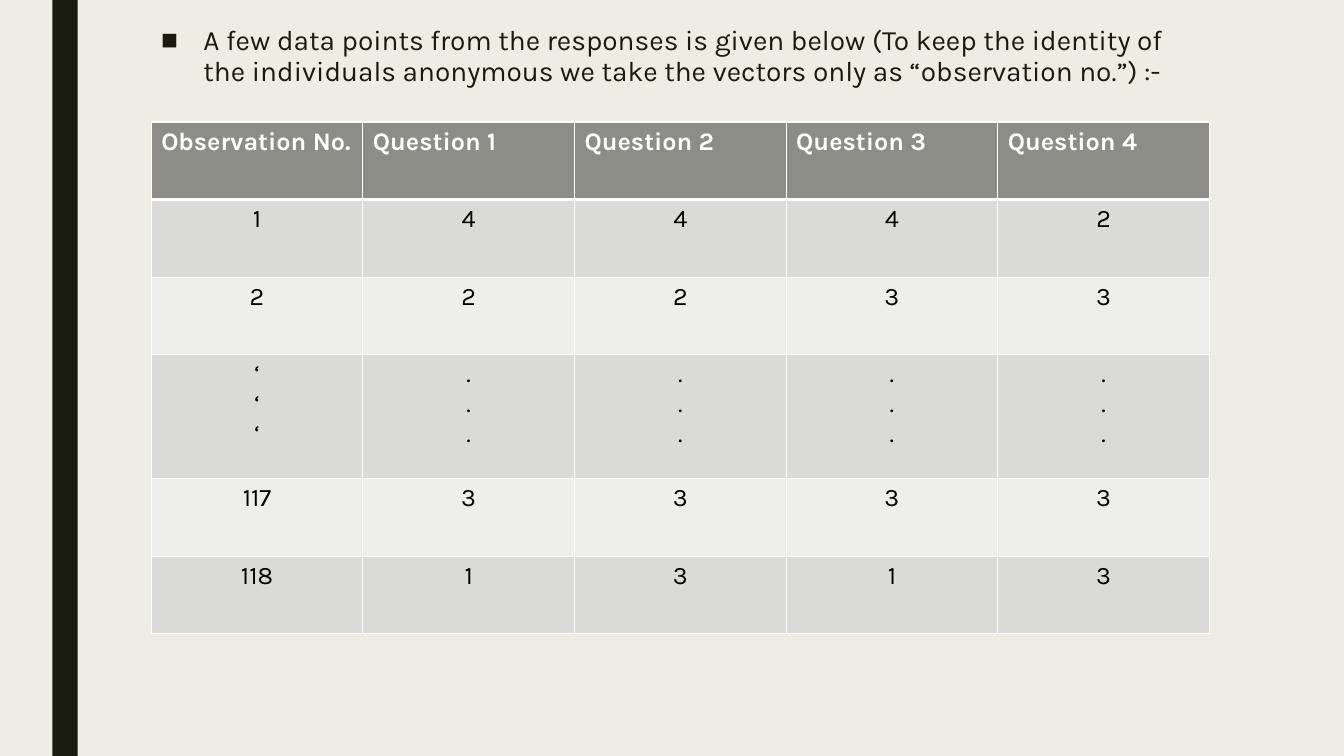
from lxml.etree import SubElement
from pptx import Presentation
from pptx.dml.color import RGBColor
from pptx.enum.shapes import MSO_SHAPE
from pptx.enum.text import PP_ALIGN
from pptx.oxml.ns import qn
from pptx.util import Pt

CREAM = RGBColor(0xEF, 0xED, 0xE3)
INK = RGBColor(0x19, 0x1B, 0x0E)
HEADER_GREY = RGBColor(0x8C, 0x8D, 0x86)
DARK_BAND = RGBColor(0xDA, 0xDB, 0xD9)
LIGHT_BAND = RGBColor(0xEE, 0xEE, 0xED)
WHITE = RGBColor(0xFF, 0xFF, 0xFF)
BLACK = RGBColor(0, 0, 0)

SLIDE_WIDTH, SLIDE_HEIGHT = 960, 540
CONTENT_LEFT, CONTENT_WIDTH = 108, 756
ROW_HEIGHT, ELLIPSIS_HEIGHT = 55.44, 88.56

INTRO = ("A few data points from the responses is given below (To keep the identity of "
         "the individuals anonymous we take the vectors only as “observation no.”) :-")
ELLIPSIS = "."
QUOTE_ELLIPSIS = "‘"
RESPONSES = [
    ["Observation No."] + [f"Question {number}" for number in range(1, 5)],
    ["1", "4", "4", "4", "2"],
    ["2", "2", "2", "3", "3"],
    [QUOTE_ELLIPSIS] + [ELLIPSIS] * 4,
    ["117", "3", "3", "3", "3"],
    ["118", "1", "3", "1", "3"],
]
ELLIPSIS_ROW = 3


class SlideBuilder:
    def __init__(self, slide, font):
        self.slide = slide
        self.font = font

    def background(self, color):
        fill = self.slide.background.fill
        fill.solid()
        fill.fore_color.rgb = color

    def bar(self, left, top, width, height, color):
        bar = self.slide.shapes.add_shape(
            MSO_SHAPE.RECTANGLE, Pt(left), Pt(top), Pt(width), Pt(height))
        bar.shadow.inherit = False
        bar.fill.solid()
        bar.fill.fore_color.rgb = color
        bar.line.fill.background()

    def run(self, paragraph, text, size, color, bold=False):
        run = paragraph.add_run()
        run.text = text
        run.font.name = self.font
        run.font.size = Pt(size)
        run.font.bold = bold
        run.font.color.rgb = color

    def bullet(self, left, top, width, height, text):
        frame = self.slide.shapes.add_textbox(
            Pt(left), Pt(top), Pt(width), Pt(height)).text_frame
        frame.word_wrap = True
        paragraph = frame.paragraphs[0]
        paragraph.line_spacing = 0.94
        paragraph.space_before = Pt(10)
        paragraph.space_after = Pt(2)
        properties = paragraph._p.get_or_add_pPr()
        properties.set("marL", str(Pt(30.24)))
        properties.set("indent", str(Pt(-30.24)))
        SubElement(properties, qn("a:buFont"), typeface="Arial")
        SubElement(properties, qn("a:buChar"), char="■")
        self.run(paragraph, text, 20, INK)

    def cell_borders(self, cell, widths):
        """Draw white borders; widths maps each side (L, R, T, B) to points."""
        properties = cell._tc.get_or_add_tcPr()
        for position, (side, width) in enumerate(widths.items()):
            line = SubElement(properties, qn(f"a:ln{side}"), w=str(Pt(width)))
            SubElement(SubElement(line, qn("a:solidFill")), qn("a:srgbClr"), val=str(WHITE))
            properties.insert(position, line)

    def table(self, left, top, width, rows, heights):
        table = self.slide.shapes.add_table(
            len(rows), len(rows[0]), Pt(left), Pt(top), Pt(width), Pt(sum(heights))).table
        for column in table.columns:
            column.width = Pt(width / len(rows[0]))
        for row_index, (values, height) in enumerate(zip(rows, heights)):
            table.rows[row_index].height = Pt(height)
            header = row_index == 0
            band = HEADER_GREY if header else DARK_BAND if row_index % 2 else LIGHT_BAND
            widths = {"L": 1, "R": 1, "T": 3 if row_index == 1 else 1, "B": 3 if header else 1}
            for column_index, value in enumerate(values):
                cell = table.cell(row_index, column_index)
                cell.fill.solid()
                cell.fill.fore_color.rgb = band
                self.cell_borders(cell, widths)
                for line in range(3 if row_index == ELLIPSIS_ROW else 1):
                    frame = cell.text_frame
                    paragraph = frame.add_paragraph() if line else frame.paragraphs[0]
                    paragraph.alignment = PP_ALIGN.LEFT if header else PP_ALIGN.CENTER
                    self.run(paragraph, value, 18, WHITE if header else BLACK, header)


def main():
    presentation = Presentation()
    presentation.slide_width = Pt(SLIDE_WIDTH)
    presentation.slide_height = Pt(SLIDE_HEIGHT)
    slide = presentation.slides.add_slide(presentation.slide_layouts[6])
    builder = SlideBuilder(slide, "Karla")

    builder.background(CREAM)
    builder.bar(37.44, 0, 18, SLIDE_HEIGHT, INK)
    heights = [ELLIPSIS_HEIGHT if index == ELLIPSIS_ROW else ROW_HEIGHT
               for index in range(len(RESPONSES))]
    builder.table(CONTENT_LEFT, 87.12, CONTENT_WIDTH, RESPONSES, heights)
    builder.bullet(CONTENT_LEFT, 14.4, CONTENT_WIDTH, 509.04, INTRO)

    presentation.save("out.pptx")


if __name__ == "__main__":
    main()
